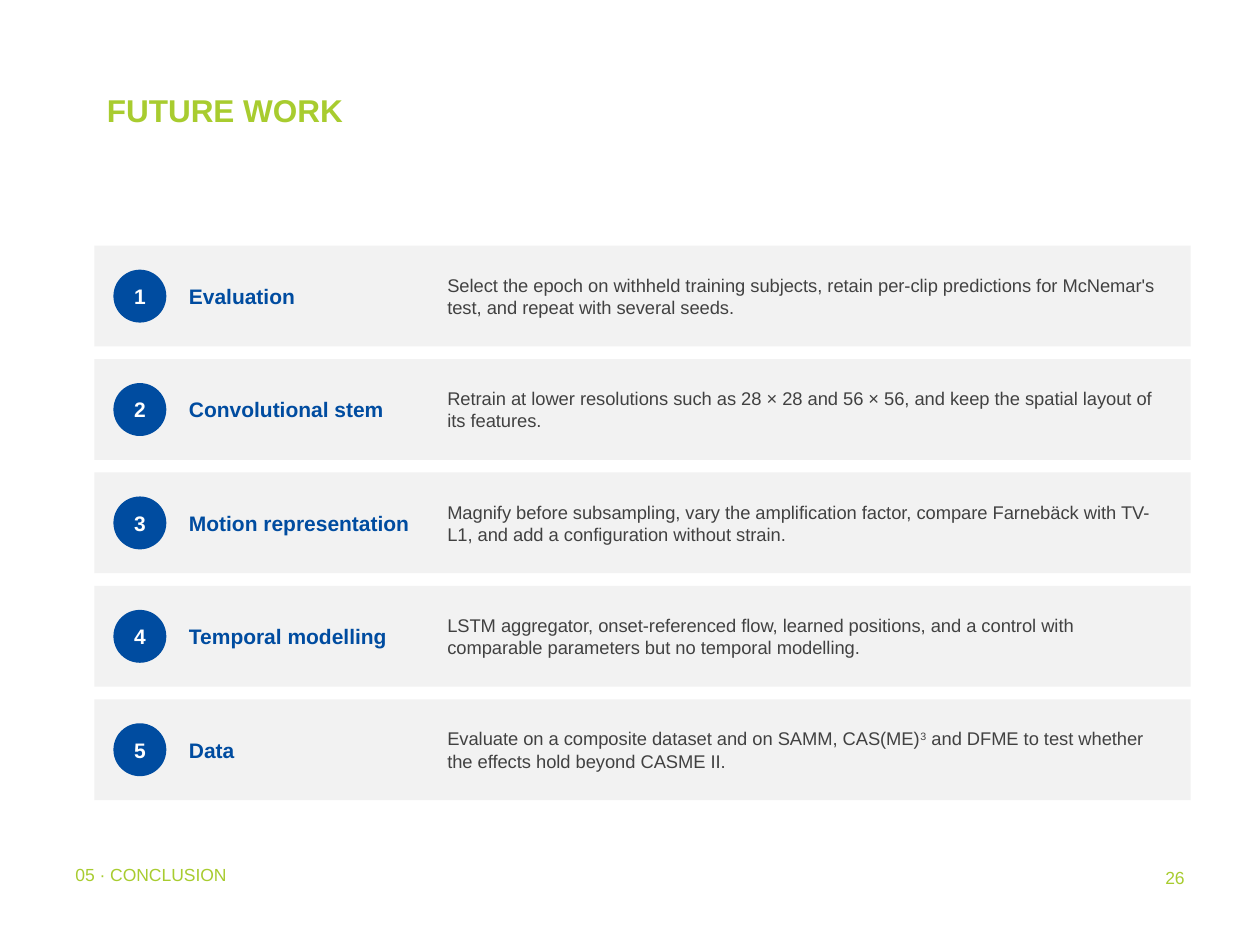
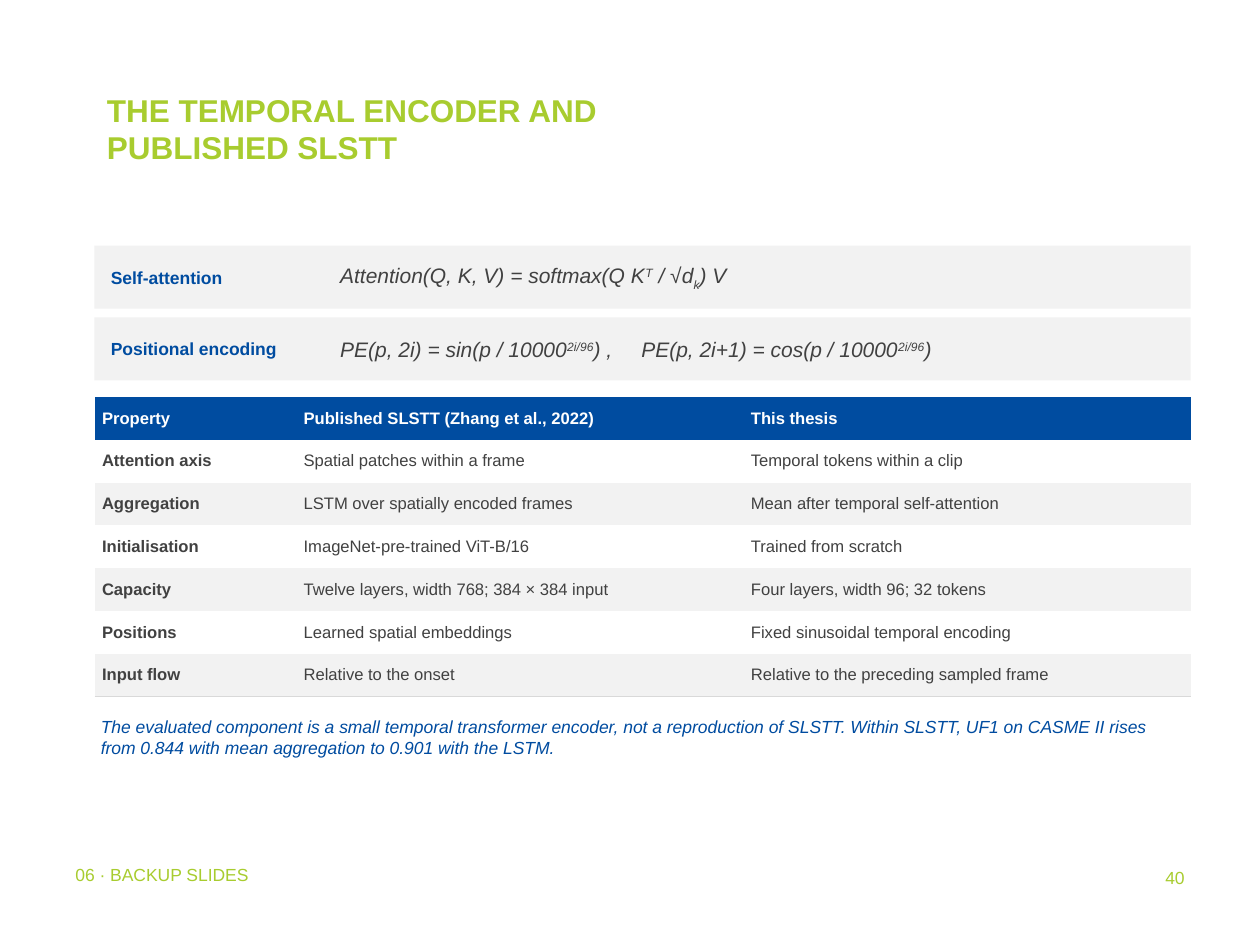
import pptx
import pptx.dml.color
import pptx.enum.shapes
import pptx.enum.text
import pptx.oxml
import pptx.oxml.ns
import pptx.util

Inches = pptx.util.Inches
Pt = pptx.util.Pt
RGBColor = pptx.dml.color.RGBColor
Shape = pptx.enum.shapes.MSO_SHAPE
Anchor = pptx.enum.text.MSO_ANCHOR
Align = pptx.enum.text.PP_ALIGN

LIME = RGBColor(0xA8, 0xCC, 0x2F)
BLUE = RGBColor(0x00, 0x4C, 0xA0)
TEXT = RGBColor(0x41, 0x41, 0x41)
PANEL = RGBColor(0xF2, 0xF2, 0xF2)
RULE = RGBColor(0xD9, 0xD9, 0xD9)
WHITE = RGBColor(0xFF, 0xFF, 0xFF)

FONT = "Arial"
NO_GRID_STYLE = "{2D5ABB26-0587-4C30-8999-92F81FD0307C}"
SUPERSCRIPT, SUBSCRIPT = 30, -25
LEFT, TOP, WIDTH = 0.75, 1.95, 8.7

FUTURE_WORK = [
    ("Evaluation", ["Select the epoch on withheld training subjects, retain per-clip predictions "
                    "for McNemar's test, and repeat with several seeds."]),
    ("Convolutional stem", ["Retrain at lower resolutions such as 28 × 28 and 56 × 56, and keep "
                            "the spatial layout of its features."]),
    ("Motion representation", ["Magnify before subsampling, vary the amplification factor, compare "
                               "Farnebäck with TV-L1, and add a configuration without strain."]),
    ("Temporal modelling", ["LSTM aggregator, onset-referenced flow, learned positions, and a control "
                            "with comparable parameters but no temporal modelling."]),
    ("Data", ["Evaluate on a composite dataset and on SAMM, CAS(ME)", ("3", SUPERSCRIPT),
              " and DFME to test whether the effects hold beyond CASME II."]),
]

FORMULAS = [
    ("Self-attention", ["Attention(Q, K, V) = softmax(Q K", ("T", SUPERSCRIPT), " / √d",
                        ("k", SUBSCRIPT), ") V"]),
    ("Positional encoding", ["PE(p, 2i) = sin(p / 10000", ("2i/96", SUPERSCRIPT),
                             ") ,\tPE(p, 2i+1) = cos(p / 10000", ("2i/96", SUPERSCRIPT), ")"]),
]

COMPARISON = [
    ("Property", "Published SLSTT (Zhang et al., 2022)", "This thesis"),
    ("Attention axis", "Spatial patches within a frame", "Temporal tokens within a clip"),
    ("Aggregation", "LSTM over spatially encoded frames", "Mean after temporal self-attention"),
    ("Initialisation", "ImageNet-pre-trained ViT-B/16", "Trained from scratch"),
    ("Capacity", "Twelve layers, width 768; 384 × 384 input", "Four layers, width 96; 32 tokens"),
    ("Positions", "Learned spatial embeddings", "Fixed sinusoidal temporal encoding"),
    ("Input flow", "Relative to the onset", "Relative to the preceding sampled frame"),
]


class Deck:
    def __init__(self):
        self.presentation = pptx.Presentation()
        self.presentation.slide_width = Inches(10)
        self.presentation.slide_height = Inches(7.5)
        self.slide = None

    def add_slide(self, title, section, number):
        self.slide = self.presentation.slides.add_slide(self.presentation.slide_layouts[6])
        self.text(0.75, 0.67, 5.42, 1.25, [title], 18, LIME, bold=True,
                  anchor=Anchor.TOP, insets=(0.1, 0.05))
        self.text(0.5, 6.83, 5.67, 0.4, [section], 10, LIME,
                  anchor=Anchor.TOP, insets=(0.1, 0.03))
        self.text(7.42, 6.83, 2.08, 0.5, [number], 10, LIME, align=Align.RIGHT,
                  anchor=Anchor.TOP, insets=(0.1, 0.05))

    def add_runs(self, text_frame, runs, size, color, bold=False, italic=False,
                 align=Align.LEFT, tab=None):
        paragraph = text_frame.paragraphs[0]
        paragraph.alignment = align
        if tab:
            properties = paragraph._p.get_or_add_pPr()
            tabs = pptx.oxml.parse_xml(
                f'<a:tabLst {pptx.oxml.ns.nsdecls("a")}>'
                f'<a:tab pos="{Inches(tab)}" algn="l"/></a:tabLst>')
            properties.append(tabs)
        for item in runs:
            words, baseline = (item, 0) if isinstance(item, str) else item
            run = paragraph.add_run()
            run.text = words
            run.font.name = FONT
            run.font.size = Pt(size)
            run.font.bold = bold
            run.font.italic = italic
            run.font.color.rgb = color
            if baseline:
                run._r.get_or_add_rPr().set("baseline", str(baseline * 1000))
        return paragraph

    def inset(self, holder, horizontal, vertical):
        holder.margin_left = holder.margin_right = Inches(horizontal)
        holder.margin_top = holder.margin_bottom = Inches(vertical)

    def text(self, left, top, width, height, runs, size, color,
             anchor=Anchor.MIDDLE, insets=(0.05, 0.03), **style):
        box = self.slide.shapes.add_textbox(Inches(left), Inches(top), Inches(width), Inches(height))
        box.text_frame.word_wrap = True
        box.text_frame.vertical_anchor = anchor
        self.inset(box.text_frame, *insets)
        return self.add_runs(box.text_frame, runs, size, color, **style)

    def shape(self, kind, left, top, width, height, fill):
        shape = self.slide.shapes.add_shape(
            kind, Inches(left), Inches(top), Inches(width), Inches(height))
        shape.shadow.inherit = False
        shape.fill.solid()
        shape.fill.fore_color.rgb = fill
        shape.line.fill.background()
        return shape

    def panel(self, top, height):
        self.shape(Shape.RECTANGLE, LEFT, top, WIDTH, height, PANEL)

    def badge(self, left, top, number):
        circle = self.shape(Shape.OVAL, left, top, 0.42, 0.42, BLUE)
        circle.text_frame.vertical_anchor = Anchor.MIDDLE
        self.inset(circle.text_frame, 0, 0)
        self.add_runs(circle.text_frame, [str(number)], 12, WHITE, bold=True, align=Align.CENTER)

    def table(self, top, rows, column_widths, row_height):
        frame = self.slide.shapes.add_table(
            len(rows), len(column_widths), Inches(LEFT), Inches(top),
            Inches(sum(column_widths)), Inches(row_height * len(rows)))
        frame.element.xpath(".//a:tableStyleId")[0].text = NO_GRID_STYLE
        table = frame.table
        table.horz_banding = False
        for column, width in zip(table.columns, column_widths):
            column.width = Inches(width)
        for row_index, values in enumerate(rows):
            table.rows[row_index].height = Inches(row_height)
            header = row_index == 0
            fill = BLUE if header else (PANEL if row_index % 2 == 0 else WHITE)
            for column_index, value in enumerate(values):
                cell = table.cell(row_index, column_index)
                cell.fill.solid()
                cell.fill.fore_color.rgb = fill
                cell.vertical_anchor = Anchor.MIDDLE
                self.inset(cell, 0.06, 0.02)
                self.add_runs(cell.text_frame, [value], 9.5, WHITE if header else TEXT,
                              bold=header or column_index == 0)
                if row_index == len(rows) - 1:
                    self.bottom_border(cell)

    def bottom_border(self, cell):
        border = pptx.oxml.parse_xml(
            f'<a:lnB {pptx.oxml.ns.nsdecls("a")} w="{Pt(0.75)}">'
            f'<a:solidFill><a:srgbClr val="{RULE}"/></a:solidFill></a:lnB>')
        cell._tc.get_or_add_tcPr().insert(0, border)


def build_future_work(deck):
    deck.add_slide("FUTURE WORK", "05 · CONCLUSION", "26")
    for index, (topic, description) in enumerate(FUTURE_WORK):
        top = TOP + 0.9 * index
        deck.panel(top, 0.8)
        deck.badge(0.9, top + 0.19, index + 1)
        deck.text(1.45, top, 2, 0.8, [topic], 12, BLUE, bold=True)
        deck.text(3.5, top, 5.85, 0.8, description, 10.5, TEXT)


def build_encoder_comparison(deck):
    deck.add_slide("THE TEMPORAL ENCODER AND PUBLISHED SLSTT", "06 · BACKUP SLIDES", "40")
    for index, (label, formula) in enumerate(FORMULAS):
        top = TOP + 0.57 * index
        deck.panel(top, 0.5)
        deck.text(0.83, top, 1.8, 0.5, [label], 10, BLUE, bold=True)
        deck.text(2.65, top, 6.72, 0.5, formula, 12, TEXT, italic=True, tab=2.39)
    deck.table(3.15, COMPARISON, (1.6, 3.55, 3.55), 0.34)
    note = deck.text(
        LEFT, 5.65, WIDTH, 0.8,
        ["The evaluated component is a small temporal transformer encoder, not a reproduction of "
         "SLSTT. Within SLSTT, UF1 on CASME II rises from 0.844 with mean aggregation to 0.901 "
         "with the LSTM."],
        10, BLUE, italic=True, anchor=Anchor.TOP)
    note.space_after = Pt(3)


def main():
    deck = Deck()
    build_future_work(deck)
    build_encoder_comparison(deck)
    deck.presentation.save("out.pptx")


if __name__ == "__main__":
    main()
